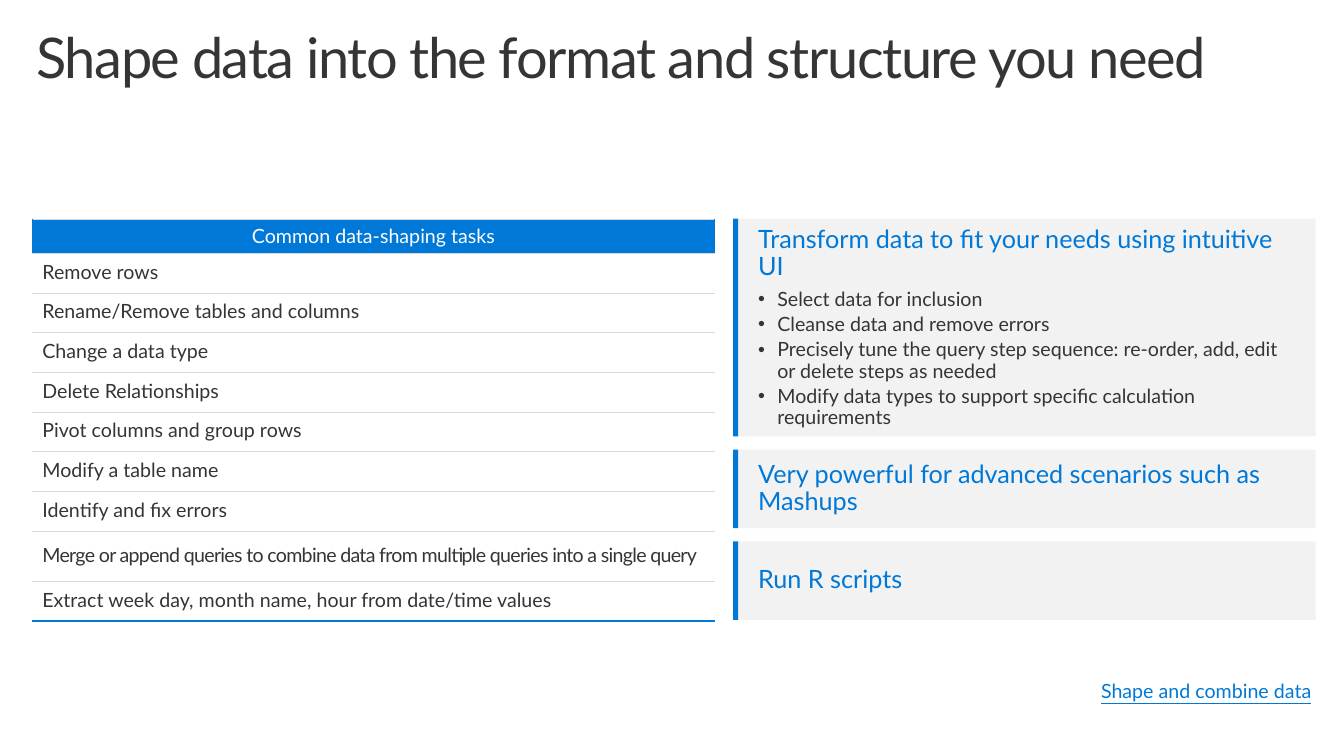
from dataclasses import dataclass

from lxml import etree
from pptx import Presentation
from pptx.dml.color import RGBColor
from pptx.enum.shapes import MSO_SHAPE
from pptx.enum.text import MSO_ANCHOR, MSO_AUTO_SIZE, PP_ALIGN
from pptx.oxml.ns import qn
from pptx.util import Pt

RECT = MSO_SHAPE.RECTANGLE
TOP, MIDDLE = MSO_ANCHOR.TOP, MSO_ANCHOR.MIDDLE
LEFT, CENTER = PP_ALIGN.LEFT, PP_ALIGN.CENTER
NO_FIT = MSO_AUTO_SIZE.NONE
EMU_PER_PX = 9144
TITLE_ONLY = 5


@dataclass(frozen=True)
class Theme:
    """Colours, font and type sizes of the slide."""
    font: str = "Lato"
    ink: str = "353535"
    accent: str = "0078D7"
    panel: str = "F2F2F2"
    rule: str = "D9D9D9"
    white: str = "FFFFFF"
    title: int = 40
    heading: int = 18
    body: int = 14


THEME = Theme()

TASK_HEADER = "Common data-shaping tasks"
LONG_TASK = "Merge or append queries to combine data from multiple queries into a single query"
TASKS = [
    "Remove rows",
    "Rename/Remove tables and columns",
    "Change a data type",
    "Delete Relationships",
    "Pivot columns and group rows",
    "Modify a table name",
    "Identify and fix errors",
    LONG_TASK,
    "Extract week day, month name, hour from date/time values",
]
CARDS = [
    (216, "Transform data to fit your needs using intuitive UI", [
        "Select data for inclusion",
        "Cleanse data and remove errors",
        "Precisely tune the query step sequence: re-order, add, edit or delete steps as needed",
        "Modify data types to support specific calculation requirements",
    ]),
    (78, "Very powerful for advanced scenarios such as Mashups", []),
    (78, "Run R scripts", []),
]


def px(*lengths):
    """Turn pixel lengths into a list of EMU."""
    return [round(n * EMU_PER_PX) for n in lengths]


def rgb(color):
    """Turn a hex string into a colour."""
    return RGBColor.from_string(color)


def set_frame(tf, pad_x, pad_y, anchor=TOP, wrap=True):
    """Set the insets, anchor and wrapping of a text frame."""
    tf.margin_left, tf.margin_right, tf.margin_top, tf.margin_bottom = px(
        pad_x, pad_x, pad_y, pad_y)
    tf.vertical_anchor = anchor
    tf.word_wrap = wrap
    tf.auto_size = NO_FIT


def add_text(tf, text, size=THEME.body, color=THEME.ink, align=LEFT, line=0.9,
             after=0, spacing=0, underline=False, bullet=False):
    """Write one formatted paragraph, filling the empty first one if there is one."""
    p = tf.paragraphs[0]
    if p.runs:
        p = tf.add_paragraph()
    p.alignment, p.line_spacing = align, line
    p.space_before, p.space_after = Pt(0), Pt(after)
    if bullet:
        indent, = px(19)
        pPr = p._p.get_or_add_pPr()
        pPr.set("marL", str(indent))
        pPr.set("indent", str(-indent))
        etree.SubElement(pPr, qn("a:buFont"), typeface="Arial")
        etree.SubElement(pPr, qn("a:buChar"), char="•")
    r = p.add_run()
    r.text = text
    r.font.name, r.font.size = THEME.font, Pt(size)
    r.font.color.rgb = rgb(color)
    r.font.underline = underline
    if spacing:
        r._r.get_or_add_rPr().set("spc", str(round(spacing * 100)))


def set_borders(cell, **lines):
    """Draw the given cell sides as (colour, points) and clear the others."""
    tcPr = cell._tc.get_or_add_tcPr()
    for i, side in enumerate("LRTB"):
        color, width = lines.get(side, (None, 0))
        ln = etree.Element(qn(f"a:ln{side}"), w=str(Pt(width)))
        if color:
            fill = etree.SubElement(ln, qn("a:solidFill"))
            etree.SubElement(fill, qn("a:srgbClr"), val=color)
        else:
            etree.SubElement(ln, qn("a:noFill"))
        tcPr.insert(i, ln)


def add_title(s, x, y, w, h):
    """Place the slide title."""
    title = s.shapes.title
    title.left, title.top, title.width, title.height = px(x, y, w, h)
    set_frame(title.text_frame, 16, 10)
    add_text(title.text_frame, "Shape data into the format and structure you need",
             size=THEME.title, spacing=-1)


def add_task_table(s, x, y, w, h, header_h=34, long_h=50):
    """Place the list of tasks as a one-column table."""
    table = s.shapes.add_table(len(TASKS) + 1, 1, *px(x, y, w, h)).table
    table.first_row = table.horz_banding = False
    row_h = (h - header_h - long_h) / (len(TASKS) - 1)
    hair, edge = (THEME.rule, 0.25), (THEME.accent, 0.75)

    header = table.cell(0, 0)
    table.rows[0].height, = px(header_h)
    set_frame_cell(header, 3)
    header.fill.solid()
    header.fill.fore_color.rgb = rgb(THEME.accent)
    set_borders(header, L=edge, R=edge, T=hair, B=hair)
    add_text(header.text_frame, TASK_HEADER, color=THEME.white, align=CENTER, line=1.0)

    for i, task in enumerate(TASKS, 1):
        is_long = task == LONG_TASK
        table.rows[i].height, = px(long_h if is_long else row_h)
        cell = table.cell(i, 0)
        set_frame_cell(cell, 0)
        cell.fill.background()
        set_borders(cell, T=hair, B=(THEME.accent, 1.5) if i == len(TASKS) else hair)
        add_text(cell.text_frame, task, spacing=-0.5 if is_long else 0)


def set_frame_cell(cell, pad_y):
    """Set the insets and anchor of a table cell."""
    cell.margin_left, cell.margin_right, cell.margin_top, cell.margin_bottom = px(
        10, 10, pad_y, pad_y)
    cell.vertical_anchor = MIDDLE


def add_rect(shapes, x, y, w, h, color):
    """Add a plain filled rectangle."""
    sp = shapes.add_shape(RECT, *px(x, y, w, h))
    sp.shadow.inherit = False
    sp.fill.solid()
    sp.fill.fore_color.rgb = rgb(color)
    sp.line.fill.background()
    return sp


def add_card(s, x, y, w, h, heading, points, bar_w=5):
    """Place a panel with an accent bar, a heading and optional bullets."""
    shapes = s.shapes.add_group_shape().shapes
    tf = add_rect(shapes, x + bar_w, y, w - bar_w, h, THEME.panel).text_frame
    add_rect(shapes, x, y, bar_w, h, THEME.accent)
    set_frame(tf, 20, 10, MIDDLE)
    add_text(tf, heading, size=THEME.heading, color=THEME.accent, after=6)
    for point in points:
        add_text(tf, point, after=3, bullet=True)


def add_cards(s, x, y, w, gap=13):
    """Stack the cards with equal gaps."""
    for h, heading, points in CARDS:
        add_card(s, x, y, w, h, heading, points)
        y += h + gap


def add_reference(s, x, y, w, h):
    """Place the underlined reference at the foot."""
    tf = s.shapes.add_textbox(*px(x, y, w, h)).text_frame
    set_frame(tf, 0, 0, wrap=False)
    add_text(tf, "Shape and combine data", color=THEME.accent, underline=True, after=6)


def main():
    """Build and save the slide."""
    prs = Presentation()
    prs.slide_width, prs.slide_height = px(1333, 750)
    s = prs.slides.add_slide(prs.slide_layouts[TITLE_ONLY])
    add_title(s, 20, 20, 1280, 80)
    add_task_table(s, 32, 217, 677, 399)
    add_cards(s, 727, 217, 578)
    add_reference(s, 1092, 676, 212, 21)
    prs.save("out.pptx")


if __name__ == "__main__":
    main()
